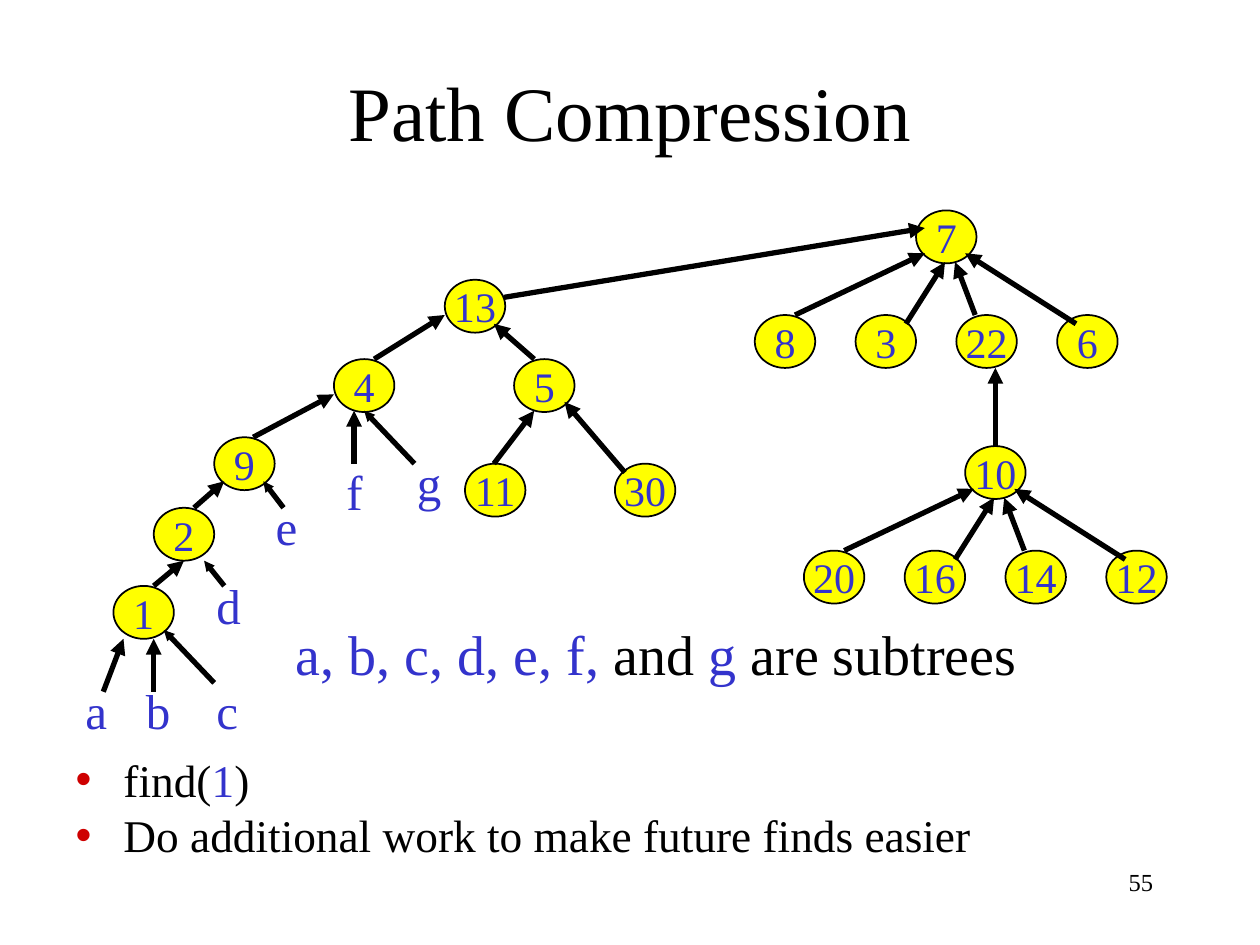
from typing import NamedTuple

from lxml import etree
from pptx import Presentation
from pptx.dml.color import RGBColor
from pptx.enum.shapes import MSO_CONNECTOR, MSO_SHAPE
from pptx.enum.text import MSO_ANCHOR, MSO_AUTO_SIZE, PP_ALIGN
from pptx.oxml.ns import qn
from pptx.util import Inches, Pt

OVAL = MSO_SHAPE.OVAL
STRAIGHT = MSO_CONNECTOR.STRAIGHT
CENTER, RIGHT = PP_ALIGN.CENTER, PP_ALIGN.RIGHT
TOP, MIDDLE = MSO_ANCHOR.TOP, MSO_ANCHOR.MIDDLE
NO_FIT = MSO_AUTO_SIZE.NONE

FONT = "Times New Roman"
BLACK, BLUE, YELLOW, RED = "000000", "3333CC", "FFFF00", "CE0000"
NODE_W, NODE_H = 0.48, 0.42


class Node(NamedTuple):
    key: str
    x: float
    y: float


class Subtree(NamedTuple):
    name: str
    x: float
    y: float


class Arrow(NamedTuple):
    x1: float
    y1: float
    x2: float
    y2: float
    head: str = "med"


# Left tree, with arrows from child to parent
NODES = [
    Node("13", 3.53, 2.22), Node("4", 2.65, 2.85), Node("5", 4.08, 2.85),
    Node("9", 1.7, 3.47), Node("11", 3.69, 3.68), Node("30", 4.88, 3.68),
    Node("2", 1.22, 4.03), Node("1", 0.9, 4.65),
]
SUBTREES = [
    Subtree("a", 0.58, 5.35), Subtree("b", 1.06, 5.35), Subtree("c", 1.62, 5.35),
    Subtree("d", 1.62, 4.52), Subtree("e", 2.09, 3.89), Subtree("f", 2.65, 3.61),
    Subtree("g", 3.21, 3.54),
]
ARROWS = [
    Arrow(2.97, 2.85, 3.53, 2.5), Arrow(2.01, 3.47, 2.65, 3.13),
    Arrow(4.24, 2.85, 3.92, 2.57), Arrow(1.54, 4.03, 1.78, 3.82),
    Arrow(3.92, 3.68, 4.24, 3.26), Arrow(4.96, 3.75, 4.48, 3.19),
    Arrow(1.22, 4.65, 1.46, 4.45),
    # Subtrees a to g
    Arrow(0.82, 5.49, 0.98, 5.07), Arrow(1.22, 5.49, 1.22, 5.07),
    Arrow(1.7, 5.42, 1.3, 5, "sm"), Arrow(1.78, 4.65, 1.62, 4.45, "sm"),
    Arrow(2.25, 4.03, 2.09, 3.82, "sm"), Arrow(2.81, 3.68, 2.81, 3.26),
    Arrow(3.29, 3.68, 2.89, 3.26, "sm"),
    # Joins between trees
    Arrow(7.9, 3.54, 7.9, 2.92), Arrow(4, 2.36, 7.34, 1.81),
]

# Four-child fans; arrow offsets are measured from the root's corner
FANS = [(Node("7", 7.27, 1.67), ["8", "3", "22", "6"]),
        (Node("10", 7.66, 3.54), ["20", "16", "14", "12"])]
FAN_LEFT, FAN_STEP, FAN_DROP = -1.28, 0.8, 0.83
FAN_ARROWS = [
    Arrow(-0.96, 0.83, 0.07, 0.34), Arrow(-0.08, 0.9, 0.23, 0.41),
    Arrow(0.47, 0.83, 0.31, 0.41), Arrow(1.27, 0.9, 0.39, 0.34),
]


def color(value: str) -> RGBColor:
    return RGBColor.from_string(value)


def add_run(p, text: str, size: float, fill: str = BLACK) -> None:
    r = p.add_run()
    r.text = text
    r.font.name, r.font.size = FONT, Pt(size)
    r.font.color.rgb = color(fill)


def place(sp, x: float, y: float, w: float, h: float) -> None:
    sp.left, sp.top, sp.width, sp.height = map(Inches, (x, y, w, h))


def text_box(s, x: float, y: float, w: float, h: float):
    tf = s.shapes.add_textbox(Inches(x), Inches(y), Inches(w), Inches(h)).text_frame
    tf.word_wrap = True
    return tf.paragraphs[0]


def draw_node(s, node: Node) -> None:
    sp = s.shapes.add_shape(OVAL, Inches(node.x), Inches(node.y),
                            Inches(NODE_W), Inches(NODE_H))
    sp.shadow.inherit = False
    sp.fill.solid()
    sp.fill.fore_color.rgb = color(YELLOW)
    sp.line.color.rgb = color(BLACK)
    sp.line.width = Pt(1)
    # The key sits centred inside its oval
    tf = sp.text_frame
    tf.margin_left = tf.margin_right = tf.margin_top = tf.margin_bottom = 0
    tf.word_wrap, tf.vertical_anchor = False, MIDDLE
    tf.paragraphs[0].alignment = CENTER
    add_run(tf.paragraphs[0], node.key, 24, BLUE)


def draw_arrow(s, a: Arrow, dx: float = 0, dy: float = 0) -> None:
    cx = s.shapes.add_connector(STRAIGHT, Inches(a.x1 + dx), Inches(a.y1 + dy),
                                Inches(a.x2 + dx), Inches(a.y2 + dy))
    cx.line.color.rgb = color(BLACK)
    cx.line.width = Pt(3)
    etree.SubElement(cx.line._get_or_add_ln(), qn("a:tailEnd"),
                     type="triangle", w=a.head, len=a.head)
    etree.SubElement(cx._element.spPr, qn("a:effectLst"))


def draw_fan(s, root: Node, keys: list[str]) -> None:
    draw_node(s, root)
    for i, key in enumerate(keys):
        draw_node(s, Node(key, root.x + FAN_LEFT + i * FAN_STEP, root.y + FAN_DROP))
    for arrow in FAN_ARROWS:
        draw_arrow(s, arrow, root.x, root.y)


def add_bullet(p) -> None:
    pPr = p._p.get_or_add_pPr()
    pPr.set("marL", str(Inches(0.38)))
    pPr.set("indent", str(-Inches(0.38)))
    clr = etree.SubElement(pPr, qn("a:buClr"))
    etree.SubElement(clr, qn("a:srgbClr"), val=RED)
    etree.SubElement(pPr, qn("a:buChar"), char="•")


def main() -> None:
    prs = Presentation()
    prs.slide_width, prs.slide_height = Inches(10), Inches(7.5)
    s = prs.slides.add_slide(prs.slide_layouts[1])

    # Title
    title = s.shapes.title
    place(title, 0.75, 0.25, 8.5, 1.25)
    tf = title.text_frame
    tf.auto_size, tf.vertical_anchor = NO_FIT, MIDDLE
    tf.paragraphs[0].alignment = CENTER
    add_run(tf.paragraphs[0], "Path Compression", 44)

    # Bulleted list
    body = s.placeholders[1]
    place(body, 0.5, 6, 8.92, 0.92)
    tf = body.text_frame
    tf.auto_size, tf.vertical_anchor = NO_FIT, TOP
    bullets = [[("find(", BLACK), ("1", BLUE), (")", BLACK)],
               [("Do additional work to make future finds easier", BLACK)]]
    for i, runs in enumerate(bullets):
        p = tf.add_paragraph() if i else tf.paragraphs[0]
        add_bullet(p)
        p.line_spacing = 0.8
        p.space_before = Pt(7 if i else 0)
        for text, fill in runs:
            add_run(p, text, 25.9, fill)

    # Trees
    for root, keys in FANS:
        draw_fan(s, root, keys)
    for node in NODES:
        draw_node(s, node)
    for arrow in ARROWS:
        draw_arrow(s, arrow)
    for tree in SUBTREES:
        add_run(text_box(s, tree.x, tree.y, 0.56, 0.57), tree.name, 28, BLUE)

    # Caption
    p = text_box(s, 2.25, 4.93, 6.52, 1.0)
    p.line_spacing = 0.9
    for text, fill in [("a, b, c, d, e, f,", BLUE), (" and", BLACK),
                       (" g ", BLUE), ("are subtrees", BLACK)]:
        add_run(p, text, 32, fill)

    # Slide number
    p = text_box(s, 7.17, 6.83, 2.08, 0.5)
    p.alignment = RIGHT
    add_run(p, "55", 14)

    prs.save("out.pptx")


if __name__ == "__main__":
    main()
